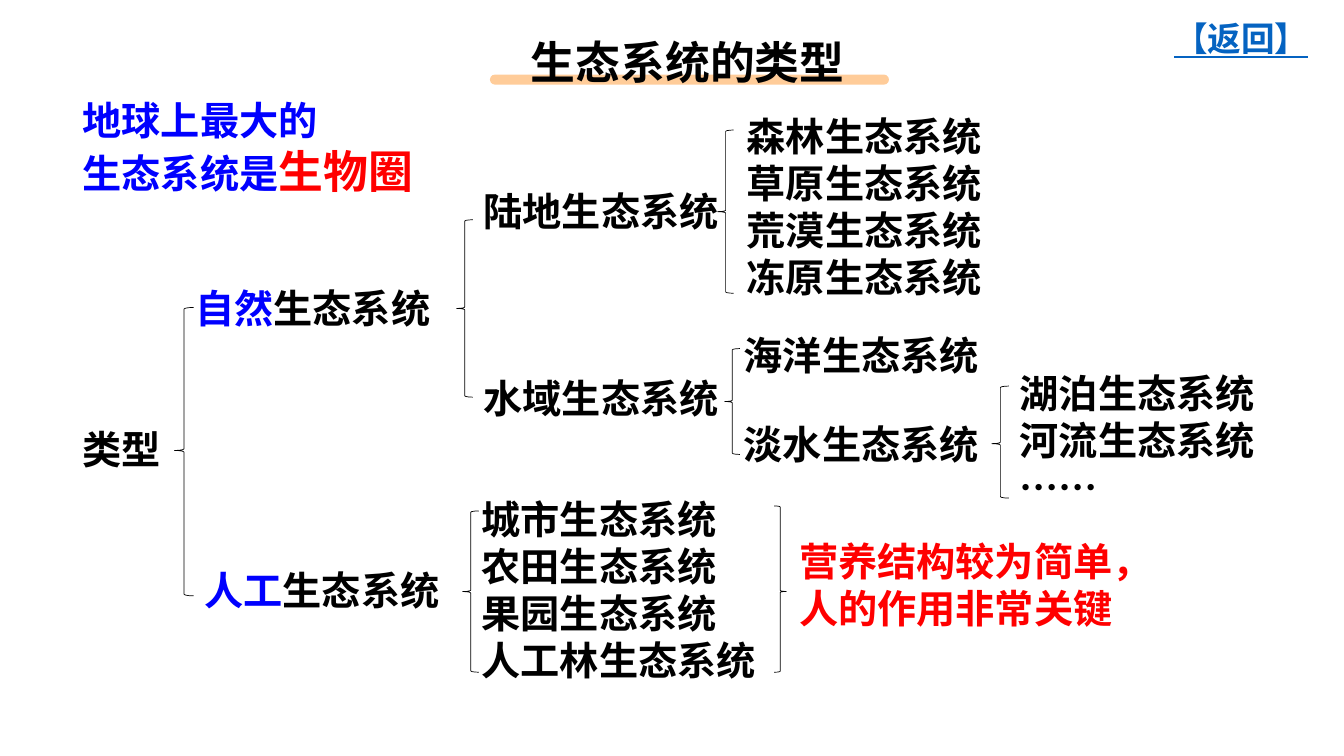
"""Build a slide that sorts the types of ecosystem into a bracket tree."""
from dataclasses import dataclass

from pptx import Presentation
from pptx.dml.color import RGBColor
from pptx.enum import shapes, text
from pptx.oxml import ns
from pptx.util import Pt
from lxml import etree


@dataclass(frozen=True)
class Theme:
    font: str = "Noto Sans CJK SC"
    black: str = "000000"
    blue: str = "0000FF"
    red: str = "FF0000"
    link: str = "0563C1"
    peach: str = "FFCC99"
    body: int = 28
    large: int = 32
    small: int = 24


THEME = Theme()
LEFT = shapes.MSO_SHAPE.LEFT_BRACE
RIGHT = shapes.MSO_SHAPE.RIGHT_BRACE
ECO = "生态系统"


def style(run, color, size):
    font = run.font
    font.name, font.size, font.bold = THEME.font, Pt(size), True
    font.color.rgb = RGBColor.from_string(color)
    etree.SubElement(font._element, ns.qn("a:ea"), typeface=THEME.font)


def write(frame, lines, size=THEME.body):
    """Fill a frame with lines, each a list of (words, color[, size])."""
    frame.word_wrap = False
    frame.auto_size = text.MSO_AUTO_SIZE.NONE
    frame.vertical_anchor = text.MSO_ANCHOR.TOP
    for i, line in enumerate(lines):
        para = frame.paragraphs[0] if i == 0 else frame.add_paragraph()
        for words, color, *own in line:
            run = para.add_run()
            run.text = words
            style(run, color, own[0] if own else size)


def label(slide, box, lines, size=THEME.body):
    shape = slide.shapes.add_textbox(*map(Pt, box))
    write(shape.text_frame, lines, size)
    return shape


def names(slide, box, kinds):
    label(slide, box, [[(kind, THEME.black)] for kind in kinds])


def brace(slide, box, kind=LEFT, mid=0.5):
    shape = slide.shapes.add_shape(kind, *map(Pt, box))
    shape.adjustments[0], shape.adjustments[1] = 0.083, mid
    shape.shadow.inherit = False
    shape.fill.background()
    shape.line.color.rgb = RGBColor.from_string(THEME.black)
    shape.line.width = Pt(0.5)


def heading(slide, words):
    title = slide.shapes.title
    title.left, title.top, title.width, title.height = map(Pt, (372, 21, 241, 46))
    write(title.text_frame, [[(words, THEME.black)]], THEME.large)
    title.text_frame.paragraphs[0].alignment = text.PP_ALIGN.LEFT
    bar = slide.shapes.add_shape(
        shapes.MSO_SHAPE.ROUNDED_RECTANGLE, *map(Pt, (350, 53.3, 285, 7.2)))
    bar.adjustments[0] = 0.5
    bar.shadow.inherit = False
    bar.fill.solid()
    bar.fill.fore_color.rgb = RGBColor.from_string(THEME.peach)
    bar.line.fill.background()
    title._element.addprevious(bar._element)


def main():
    deck = Presentation()
    deck.slide_width, deck.slide_height = Pt(960), Pt(540)
    slide = deck.slides.add_slide(deck.slide_layouts[5])
    black, blue, red = THEME.black, THEME.blue, THEME.red

    heading(slide, "生态系统的类型")
    back = label(slide, (831.6, 9.4, 112, 36), [[("【返回】", THEME.link)]], THEME.small)
    back.text_frame.paragraphs[0].runs[0].font.underline = True
    label(slide, (52, 65.5, 253, 80), [
        [("地球上最大的", blue)],
        [("生态系统是", blue), ("生物圈", red, THEME.large)]])

    names(slide, (52, 300.5, 80, 41), ["类型"])
    for x, y, word in ((132.5, 199.4, "自然"), (139, 401, "人工")):
        label(slide, (x, y, 184, 41), [[(word, blue), (ECO, black)]])
    for x, y, kind in ((338.4, 130.3, "陆地"), (338.4, 264.2, "水域"),
                       (524.2, 233.3, "海洋"), (524.2, 296.6, "淡水")):
        names(slide, (x, y, 184, 41), [kind + ECO])
    names(slide, (526.3, 76.3, 184, 143), [k + ECO for k in ("森林", "草原", "荒漠", "冻原")])
    names(slide, (337, 350, 212, 143), [k + ECO for k in ("城市", "农田", "果园", "人工林")])
    names(slide, (721.4, 260, 184, 109), ["湖泊" + ECO, "河流" + ECO, "……"])
    label(slide, (563.8, 380.2, 269, 75),
          [[("营养结构较为简单，", red)], [("人的作用非常关键", red)]])

    brace(slide, (124.6, 219.6, 13.7, 206), mid=0.496)
    brace(slide, (326.2, 157, 11.5, 126.7))
    brace(slide, (512.6, 92.9, 11.5, 116.6))
    brace(slide, (517.7, 249, 10.8, 75.6))
    brace(slide, (330.5, 365, 11.5, 115.2))
    brace(slide, (708.5, 275.8, 12.2, 80), mid=0.514)
    brace(slide, (553, 361.4, 8.6, 118.8), RIGHT, 0.514)
    deck.save("out.pptx")


if __name__ == "__main__":
    main()
